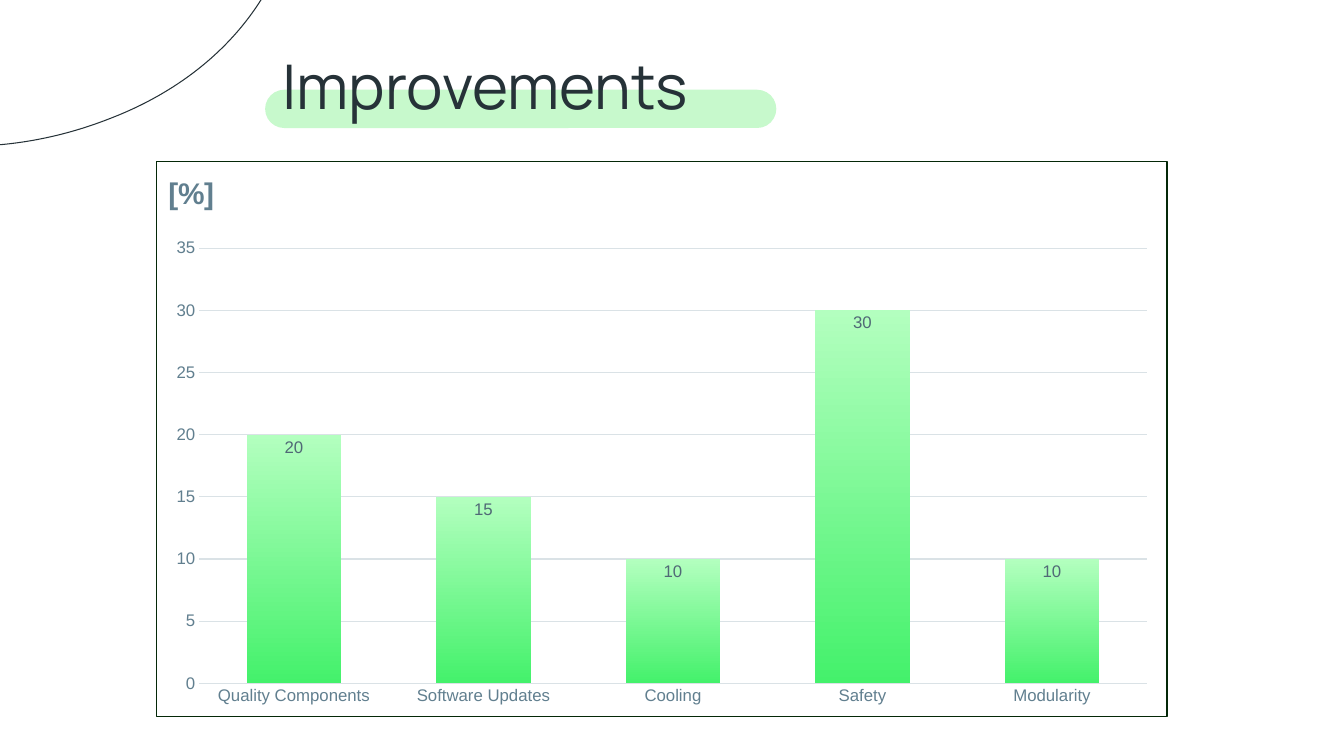
from lxml.etree import SubElement
from pptx import Presentation
from pptx.chart.data import CategoryChartData
from pptx.dml.color import RGBColor
from pptx.enum.chart import XL_CHART_TYPE, XL_LABEL_POSITION, XL_TICK_MARK
from pptx.enum.shapes import MSO_SHAPE
from pptx.oxml import parse_xml
from pptx.oxml.ns import nsdecls, qn
from pptx.util import Inches, Pt

INK = RGBColor(0x26, 0x32, 0x38)
MINT = RGBColor(0xC7, 0xF9, 0xCC)
SLATE = RGBColor(0x61, 0x7F, 0x8F)
STEEL = RGBColor(0x50, 0x69, 0x76)
MIST = RGBColor(0xDA, 0xE2, 0xE6)
GREEN = RGBColor(0x44, 0xF1, 0x6B)
PALE = RGBColor(0xB3, 0xFF, 0xBF)
FRAME = RGBColor(0x04, 0x28, 0x08)

GAINS = {"Quality Components": 20, "Software Updates": 15, "Cooling": 10,
         "Safety": 30, "Modularity": 10}

# Blob outline: start, then two control points and an end for each curve
START = (2.04, -2.88)
CURVES = [
    (1.93, -2.88), (1.8, -2.85), (1.66, -2.78),
    (1.14, -2.51), (1.11, -1.93), (0.4, -1.89),
    (0.33, -1.89), (0.26, -1.89), (0.19, -1.89),
    (-0.14, -1.89), (-0.45, -1.92), (-0.76, -1.92),
    (-1.12, -1.92), (-1.47, -1.87), (-1.87, -1.66),
    (-2.53, -1.29), (-2.67, -0.76), (-2.54, -0.13),
    (-2.32, 0.94), (-1.39, 1.45), (-0.32, 1.45),
    (0.14, 1.45), (0.62, 1.36), (1.08, 1.18),
    (2.55, 0.62), (3.22, -0.68), (2.89, -1.97),
    (2.79, -2.37), (2.51, -2.88), START,
]


def style(font, size, color, name="Arial", bold=False):
    font.size, font.name, font.bold = Pt(size), name, bold
    font.color.rgb = color


def bend(shape):
    """Turn each three straight segments of a freeform into one cubic curve."""
    lines = list(shape.element.iter(qn("a:lnTo")))
    for first in range(0, len(lines), 3):
        curve = parse_xml(f'<a:cubicBezTo {nsdecls("a")}/>')
        lines[first].addprevious(curve)
        for line in lines[first:first + 3]:
            curve.append(line[0])
            line.getparent().remove(line)


def add_blob(slide):
    pen = slide.shapes.build_freeform(*map(Inches, START))
    pen.add_line_segments([tuple(map(Inches, spot)) for spot in CURVES], close=True)
    blob = pen.convert_to_shape()
    bend(blob)
    blob.shadow.inherit = False
    blob.fill.background()
    blob.line.color.rgb = INK
    blob.line.width = Pt(0.75)


def add_title(slide, text, left, top, width, height):
    """Place a heading whose lower part rests on a mint bar."""
    bar = slide.shapes.add_shape(
        MSO_SHAPE.ROUNDED_RECTANGLE, left - Inches(0.04), top + Inches(0.54),
        width - Inches(0.22), Inches(0.38))
    bar.adjustments[0] = 0.5
    bar.shadow.inherit = False
    bar.fill.solid()
    bar.fill.fore_color.rgb = MINT
    bar.line.fill.background()

    frame = slide.shapes.add_textbox(left, top, width, height).text_frame
    frame.word_wrap = True
    frame.margin_left = frame.margin_right = Inches(0.13)
    frame.margin_top = frame.margin_bottom = Inches(0.13)
    line = frame.paragraphs[0]
    line.text = text
    style(line.font, 44, INK, "Manrope")


def set_layout(node, **shares):
    """Fix a chart part at shares of the chart's size."""
    old = node.find(qn("c:layout"))
    if old is not None:
        node.remove(old)
    layout = parse_xml(f'<c:layout {nsdecls("c")}/>')
    node.insert(0 if node.find(qn("c:tx")) is None else 1, layout)
    manual = SubElement(layout, qn("c:manualLayout"))
    if "w" in shares:
        SubElement(manual, qn("c:layoutTarget")).set("val", "inner")
    for key in ("x", "y"):
        SubElement(manual, qn(f"c:{key}Mode")).set("val", "edge")
    for key, share in shares.items():
        SubElement(manual, qn(f"c:{key}")).set("val", str(share))


def set_border(chart):
    border = parse_xml(
        f'<c:spPr {nsdecls("c", "a")}><a:noFill/><a:ln w="{Pt(0.75)}"><a:solidFill>'
        f'<a:srgbClr val="{FRAME}"/></a:solidFill></a:ln></c:spPr>')
    chart.element.find(qn("c:txPr")).addprevious(border)


def style_axes(chart):
    for axis in (chart.category_axis, chart.value_axis):
        axis.major_tick_mark = axis.minor_tick_mark = XL_TICK_MARK.NONE
        style(axis.tick_labels.font, 12, SLATE)
    base = chart.category_axis.format.line
    base.color.rgb, base.width = MIST, Pt(1)
    scale = chart.value_axis
    scale.minimum_scale, scale.maximum_scale, scale.major_unit = 0, 35, 5
    scale.format.line.fill.background()
    grid = scale.major_gridlines.format.line
    grid.color.rgb, grid.width = MIST, Pt(0.75)


def style_bars(plot):
    plot.gap_width, plot.overlap, plot.vary_by_categories = 100, -24, False
    bars = plot.series[0]
    fill = bars.format.fill
    fill.gradient()
    fill.gradient_angle = 90
    for stop, color in zip(fill.gradient_stops, (GREEN, PALE)):
        stop.color.rgb = color
    labels = bars.data_labels
    labels.show_value = True
    labels.position = XL_LABEL_POSITION.INSIDE_END
    style(labels.font, 12, STEEL)


def add_gains(slide, left, top, width, height):
    data = CategoryChartData()
    data.categories = list(GAINS)
    data.add_series("[%]", list(GAINS.values()))
    chart = slide.shapes.add_chart(
        XL_CHART_TYPE.COLUMN_CLUSTERED, left, top, width, height, data).chart
    style(chart.font, 10, INK)
    chart.has_legend = False
    head = chart.chart_title
    head.include_in_layout = False
    line = head.text_frame.paragraphs[0]
    line.text = "[%]"
    style(line.font, 21.3, SLATE, bold=True)
    style_axes(chart)
    style_bars(chart.plots[0])
    set_border(chart)
    root = chart.element.find(qn("c:chart"))
    set_layout(root.find(qn("c:title")), x=0.006, y=0.013)
    set_layout(root.find(qn("c:plotArea")), x=0.042, y=0.156, w=0.938, h=0.785)


def main():
    deck = Presentation()
    deck.slide_width, deck.slide_height = Inches(13.33), Inches(7.5)
    slide = deck.slides.add_slide(deck.slide_layouts[6])
    add_blob(slide)
    add_title(slide, "Improvements", *map(Inches, (2.67, 0.35, 5.29, 0.73)))
    add_gains(slide, *map(Inches, (1.55, 1.6, 10.03, 5.51)))
    deck.save("out.pptx")


if __name__ == "__main__":
    main()
